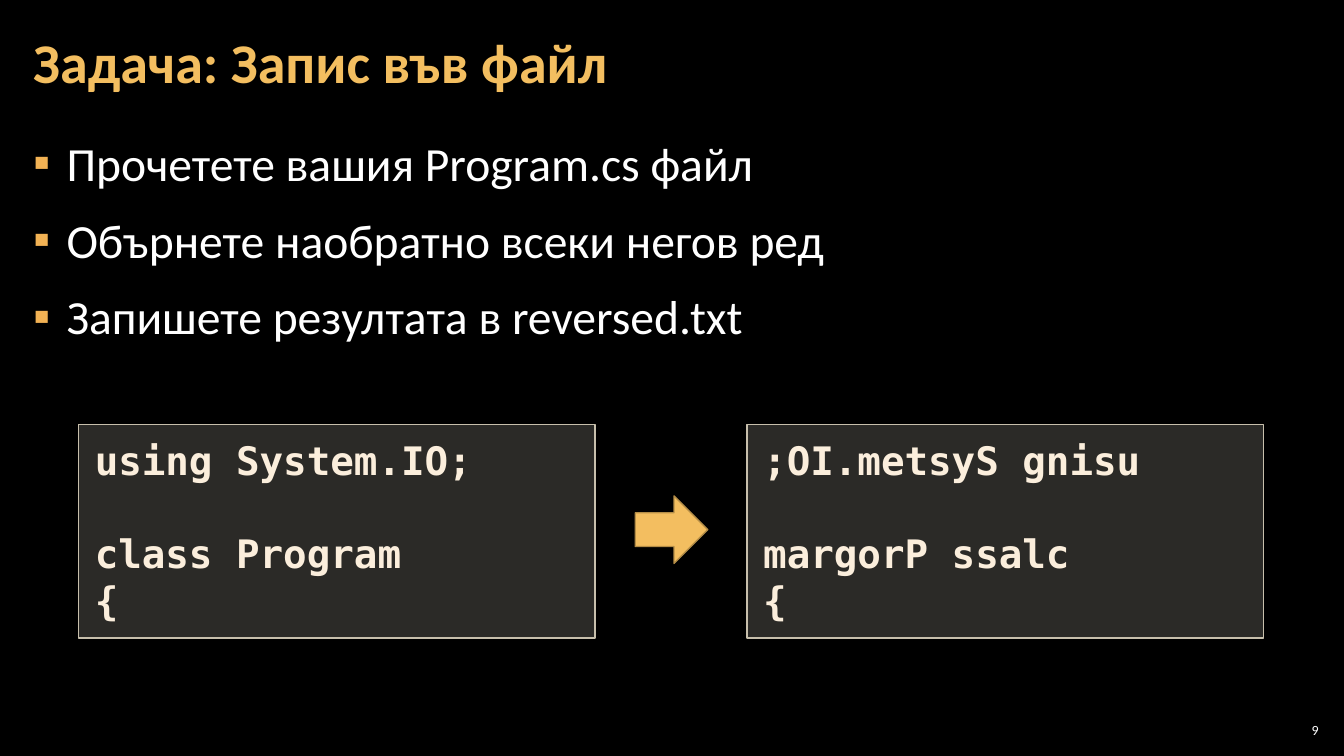
"""Build the slide about writing reversed lines to a file."""
from lxml import etree
from pptx import Presentation, util as u
from pptx.dml.color import RGBColor
from pptx.enum import shapes, text
from pptx.oxml.ns import qn

PX = 9144
COLORS = {
    "background": "000000", "white": "FFFFFF", "title": "F3BE60",
    "bullet": "F2B254", "arrow_line": "B48D47", "panel": "D9D5C7",
    "panel_line": "C7BFAC", "code": "FBEEDC",
}


def color(name):
    return RGBColor.from_string(COLORS[name])


def write(box, lines, font, ink, margins, anchor="TOP", layout=()):
    frame = box.text_frame
    frame.word_wrap = True
    frame.vertical_anchor = getattr(text.MSO_ANCHOR, anchor)
    for sides, margin in zip((("left", "right"), ("top", "bottom")), margins):
        for side in sides:
            setattr(frame, f"margin_{side}", margin * PX)
    for index, line in enumerate(lines):
        para = frame.paragraphs[0] if index == 0 else frame.add_paragraph()
        for key, value in dict(layout).items():
            setattr(para, key, value)
        span = para.add_run()
        span.text = line
        for key, value in font.items():
            setattr(span.font, key, value)
        span.font.color.rgb = color(ink)
    return frame.paragraphs


deck = Presentation()
deck.slide_width, deck.slide_height = 1333 * PX, 750 * PX
page = deck.slides.add_slide(deck.slide_layouts[6])
page.background.fill.solid()
page.background.fill.fore_color.rgb = color("background")

number = page.shapes.add_textbox(1265 * PX, 714 * PX, 47 * PX, 21 * PX)
write(number, ["9"], {"name": "Calibri", "size": u.Pt(10)}, "white", (4, 4),
      "MIDDLE", {"alignment": text.PP_ALIGN.RIGHT})

title = page.shapes.add_textbox(21 * PX, 4 * PX, 1047 * PX, 121 * PX)
write(title, ["Задача: Запис във файл"],
      {"name": "Calibri", "size": u.Pt(40), "bold": True}, "title", (12, 4),
      "MIDDLE", {"alignment": text.PP_ALIGN.LEFT, "line_spacing": 0.9})

steps = page.shapes.add_textbox(21 * PX, 126 * PX, 1291 * PX, 609 * PX)
step_paras = write(
    steps,
    ["Прочетете вашия Program.cs файл",
     "Обърнете наобратно всеки негов ред",
     "Запишете резултата в reversed.txt"],
    {"name": "Calibri", "size": u.Pt(34)}, "white", (12, 4),
    layout={"line_spacing": 1.05, "space_before": u.Pt(6), "space_after": u.Pt(6)})
for para in step_paras:
    props = para._p.get_or_add_pPr()
    props.set("marL", str(33 * PX))
    props.set("indent", str(-33 * PX))
    bullet_color = etree.SubElement(props, qn("a:buClr"))
    etree.SubElement(bullet_color, qn("a:srgbClr"), val=COLORS["bullet"])
    etree.SubElement(props, qn("a:buFont"), typeface="Calibri")
    etree.SubElement(props, qn("a:buChar"), char="▪")

arrow = page.shapes.add_shape(shapes.MSO_SHAPE.RIGHT_ARROW,
                              630 * PX, 492 * PX, 72 * PX, 67 * PX)
arrow.shadow.inherit = False
arrow.fill.solid()
arrow.fill.fore_color.rgb = color("title")
arrow.line.color.rgb = color("arrow_line")
arrow.line.width = u.Pt(1)

listings = {
    78: ["using System.IO;", "class Program", "{"],
    741: [";OI.metsyS gnisu", "margorP ssalc", "{"],
}
for left, lines in listings.items():
    panel = page.shapes.add_shape(shapes.MSO_SHAPE.RECTANGLE,
                                  left * PX, 421 * PX, 512 * PX, 212 * PX)
    panel.shadow.inherit = False
    panel.fill.solid()
    panel.fill.fore_color.rgb = color("panel")
    tint = panel.fill._xPr.find(".//" + qn("a:srgbClr"))
    etree.SubElement(tint, qn("a:alpha"), val="20000")
    panel.line.color.rgb = color("panel_line")
    panel.line.width = u.Pt(1)
    code_paras = write(
        panel, lines,
        {"name": "DejaVu Sans Mono", "size": u.Pt(28), "bold": True}, "code",
        (16, 12), layout={"alignment": text.PP_ALIGN.LEFT})
    code_paras[1].space_before = u.Pt(32.6)

deck.save("out.pptx")
